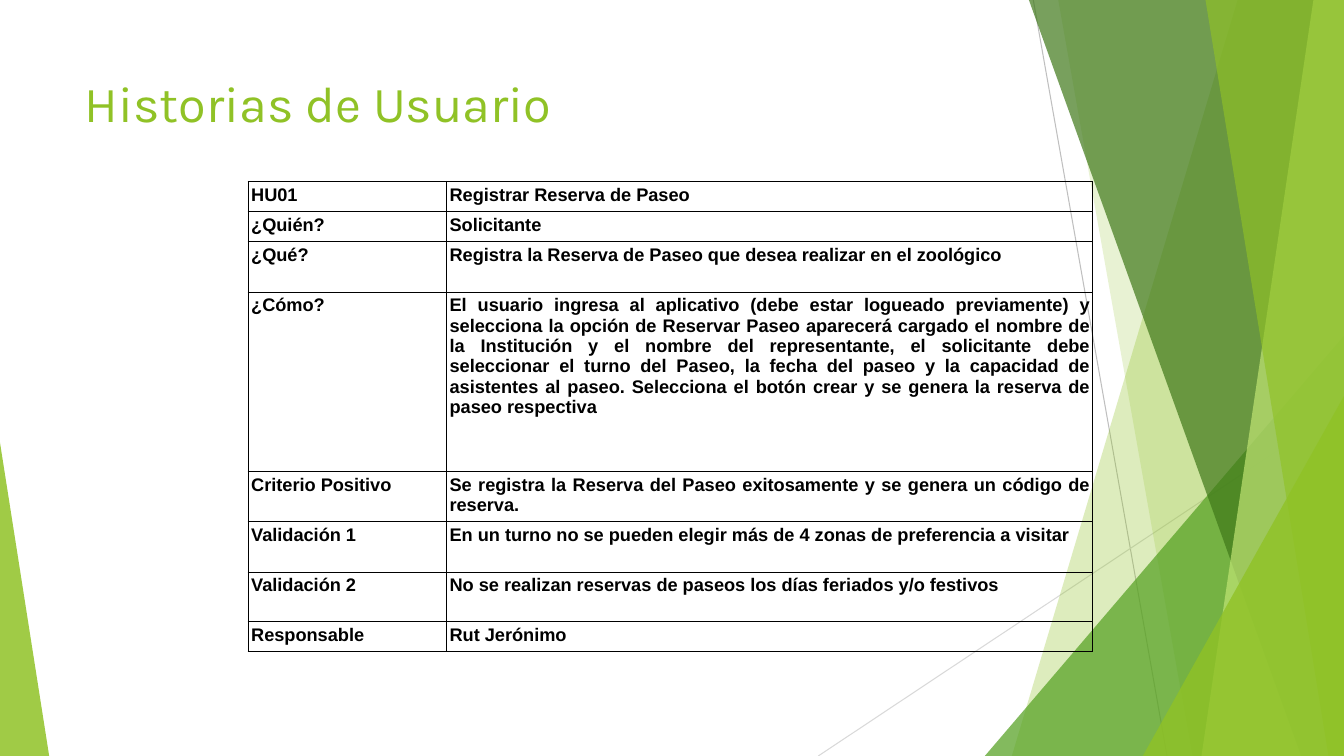
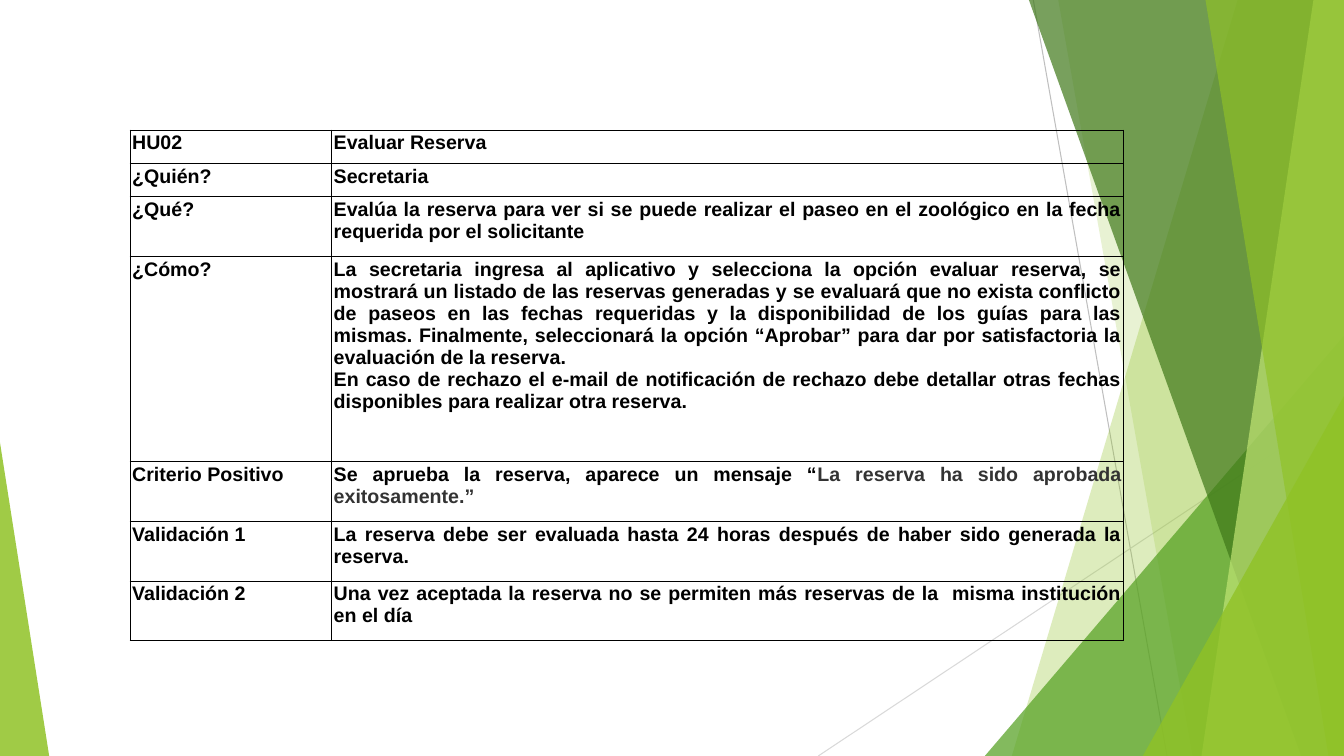
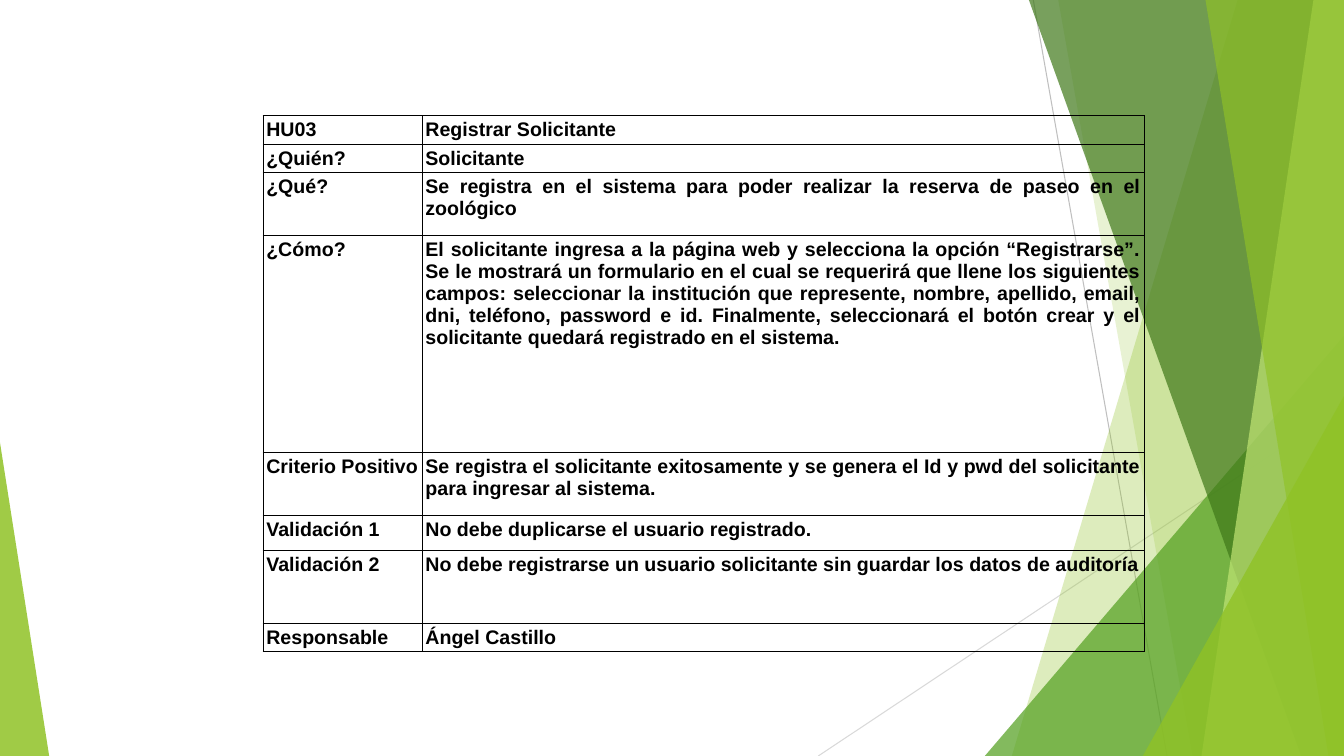
from dataclasses import dataclass

from lxml import etree
from pptx import Presentation
from pptx import util as u
from pptx.dml.color import RGBColor
from pptx.enum import shapes, text
from pptx.oxml import ns


@dataclass(frozen=True)
class Theme:
    lime: str = "90C226"
    green: str = "54A021"
    forest: str = "3F7819"
    pale: str = "C0E474"
    light_line: str = "D9D9D9"
    grey_line: str = "BFBFBF"
    ink: str = "000000"
    soft_ink: str = "333333"
    title_font: str = "Karla"
    body_font: str = "Arial"
    title_size: int = 36
    line_width: float = 0.75


THEME = Theme()
WIDTH, HEIGHT = 33.87, 19.05

# Start x, start y, end x, end y, colour
RAYS = [
    (26.04, 0, 29.41, HEIGHT, THEME.grey_line),
    (WIDTH, 10.24, 20.62, HEIGHT, THEME.light_line),
]
# Bands run to the right edge: x at the top, x at the bottom, colour, opacity
BACK_BANDS = [
    (31.19, 25.50, THEME.lime, 30),
    (26.67, 30.05, THEME.lime, 20),
]
FRONT_BANDS = [
    (25.93, 32.79, THEME.forest, 70),
    (33.10, 30.28, THEME.pale, 70),
    (30.38, 33.48, THEME.lime, 65),
]

LABELS = ["¿Quién?", "¿Qué?", "¿Cómo?", "Criterio Positivo",
          "Validación 1", "Validación 2", "Responsable"]


class Deck:
    def __init__(self, theme):
        self.theme = theme
        self.presentation = Presentation()
        self.presentation.slide_width = u.Cm(WIDTH)
        self.presentation.slide_height = u.Cm(HEIGHT)
        self.slide = None

    def new_slide(self):
        layout = self.presentation.slide_layouts[6]
        self.slide = self.presentation.slides.add_slide(layout)
        self.backdrop()

    def backdrop(self):
        for ray in RAYS:
            self.line(*ray)
        for band in BACK_BANDS:
            self.band(*band)
        self.corner(24.82, 8.46, WIDTH - 24.82, 1, self.theme.green, 72)
        for band in FRONT_BANDS:
            self.band(*band)
        self.corner(28.80, 9.98, WIDTH - 28.80, 1, self.theme.lime, 80)
        self.corner(0, 11.15, 1.24, 0, self.theme.lime, 85)

    def line(self, x1, y1, x2, y2, color):
        connector = self.slide.shapes.add_connector(
            shapes.MSO_CONNECTOR.STRAIGHT,
            u.Cm(x1), u.Cm(y1), u.Cm(x2), u.Cm(y2))
        connector.line.color.rgb = RGBColor.from_string(color)
        connector.line.width = u.Pt(self.theme.line_width)
        properties = connector._element.spPr
        etree.SubElement(properties, ns.qn("a:effectLst"))

    def band(self, top_x, bottom_x, color, opacity):
        builder = self.slide.shapes.build_freeform(u.Cm(top_x), 0)
        corners = [(WIDTH, 0), (WIDTH, HEIGHT), (bottom_x, HEIGHT)]
        builder.add_line_segments([(u.Cm(x), u.Cm(y)) for x, y in corners])
        self.paint(builder.convert_to_shape(), color, opacity)

    def corner(self, left, top, width, apex, color, opacity):
        """Draw a right triangle standing on the bottom edge."""
        shape = self.slide.shapes.add_shape(
            shapes.MSO_SHAPE.ISOSCELES_TRIANGLE,
            u.Cm(left), u.Cm(top), u.Cm(width), u.Cm(HEIGHT - top))
        shape.adjustments[0] = apex
        self.paint(shape, color, opacity)

    def paint(self, shape, color, opacity):
        shape.shadow.inherit = False
        shape.line.fill.background()
        shape.fill.solid()
        shape.fill.fore_color.rgb = RGBColor.from_string(color)
        rgb = shape._element.spPr.find(".//" + ns.qn("a:srgbClr"))
        etree.SubElement(rgb, ns.qn("a:alpha"), val=str(opacity * 1000))

    def font(self, run, name, size, color, bold=False):
        run.font.name = name
        run.font.size = u.Pt(size)
        run.font.bold = bold
        run.font.color.rgb = RGBColor.from_string(color)

    def title(self, words):
        box = self.slide.shapes.add_textbox(
            u.Cm(1.88), u.Cm(1.7), u.Cm(23.88), u.Cm(3.66))
        frame = box.text_frame
        frame.word_wrap = True
        frame.vertical_anchor = text.MSO_ANCHOR.TOP
        frame.text = words
        self.font(frame.paragraphs[0].runs[0], self.theme.title_font,
                  self.theme.title_size, self.theme.lime)

    def story(self, code, name, answers, left, top, columns, rows, size, margin):
        """Draw a user story as a table of labels and answers."""
        content = [(code, name), *zip(LABELS, answers)]
        table = self.slide.shapes.add_table(
            len(rows), len(columns), u.Cm(left), u.Cm(top),
            u.Cm(sum(columns)), u.Cm(sum(rows))).table
        table.first_row = table.horz_banding = False
        for column, width in zip(table.columns, columns):
            column.width = u.Cm(width)
        for row, height, values in zip(table.rows, rows, content):
            row.height = u.Cm(height)
            for cell, value in zip(row.cells, values):
                self.cell(cell, value, size, margin)

    def cell(self, cell, value, size, margin):
        """Fill a cell; a pair of texts sets the second one in the soft ink."""
        main, quoted = value if isinstance(value, tuple) else (value, None)
        self.borders(cell)
        cell.fill.background()
        cell.margin_left = cell.margin_right = u.Cm(margin)
        cell.margin_top = cell.margin_bottom = u.Cm(margin)
        cell.text_frame.text = main
        for paragraph in cell.text_frame.paragraphs:
            paragraph.alignment = text.PP_ALIGN.JUSTIFY
            for run in paragraph.runs:
                self.font(run, self.theme.body_font, size, self.theme.ink, True)
        if quoted:
            run = cell.text_frame.paragraphs[-1].add_run()
            run.text = quoted
            self.font(run, self.theme.body_font, size, self.theme.soft_ink, True)

    def borders(self, cell):
        properties = cell._tc.get_or_add_tcPr()
        for side in ("lnL", "lnR", "lnT", "lnB"):
            line = etree.SubElement(properties, ns.qn("a:" + side),
                                    w=str(u.Pt(self.theme.line_width)))
            fill = etree.SubElement(line, ns.qn("a:solidFill"))
            etree.SubElement(fill, ns.qn("a:srgbClr"), val=self.theme.ink)


def main():
    deck = Deck(THEME)

    deck.new_slide()
    deck.title("Historias de Usuario")
    deck.story(
        "HU01", "Registrar Reserva de Paseo",
        ["Solicitante",
         "Registra la Reserva de Paseo que desea realizar en el zoológico",
         "El usuario ingresa al aplicativo (debe estar logueado previamente) y "
         "selecciona la opción de Reservar Paseo aparecerá cargado el nombre de "
         "la Institución y el nombre del representante, el solicitante debe "
         "seleccionar el turno del Paseo, la fecha del paseo y la capacidad de "
         "asistentes al paseo. Selecciona el botón crear y se genera la reserva "
         "de paseo respectiva",
         "Se registra la Reserva del Paseo exitosamente y se genera un código "
         "de reserva.",
         "En un turno no se pueden elegir más de 4 zonas de preferencia a visitar",
         "No se realizan reservas de paseos los días feriados y/o festivos",
         "Rut Jerónimo"],
        left=6.25, top=4.57, columns=[5, 16.28],
        rows=[0.76, 0.76, 1.27, 4.52, 1.27, 1.27, 1.24, 0.76],
        size=13, margin=0.08)

    deck.new_slide()
    deck.story(
        "HU02", "Evaluar Reserva",
        ["Secretaria",
         "Evalúa la reserva para ver si se puede realizar el paseo en el "
         "zoológico en la fecha requerida por el solicitante",
         "La secretaria ingresa al aplicativo y selecciona la opción evaluar "
         "reserva, se mostrará un listado de las reservas generadas y se "
         "evaluará que no exista conflicto de paseos en las fechas requeridas y "
         "la disponibilidad de los guías para las mismas. Finalmente, "
         "seleccionará la opción “Aprobar” para dar por satisfactoria la "
         "evaluación de la reserva.\n"
         "En caso de rechazo el e-mail de notificación de rechazo debe detallar "
         "otras fechas disponibles para realizar otra reserva.",
         ("Se aprueba la reserva, aparece un mensaje “",
          "La reserva ha sido aprobada exitosamente.”"),
         "La reserva debe ser evaluada hasta 24 horas después de haber sido "
         "generada la reserva.",
         "Una vez aceptada la reserva no se permiten más reservas de la  misma "
         "institución en el día"],
        left=3.28, top=3.28, columns=[5.08, 19.96],
        rows=[0.84, 0.84, 1.5, 5.18, 1.5, 1.5, 1.5],
        size=14, margin=0.05)

    deck.new_slide()
    deck.story(
        "HU03", "Registrar Solicitante",
        ["Solicitante",
         "Se registra en el sistema para poder realizar la reserva de paseo en "
         "el zoológico",
         "El solicitante ingresa a la página web y selecciona la opción "
         "“Registrarse”. Se le mostrará un formulario en el cual se requerirá "
         "que llene los siguientes campos: seleccionar la institución que "
         "represente, nombre, apellido, email, dni, teléfono, password e id. "
         "Finalmente, seleccionará el botón crear y el solicitante quedará "
         "registrado en el sistema.",
         "Se registra el solicitante exitosamente y se genera el Id y pwd del "
         "solicitante para ingresar al sistema.",
         "No debe duplicarse el usuario registrado.",
         "No debe registrarse un usuario solicitante sin guardar los datos de "
         "auditoría",
         "Ángel Castillo"],
        left=6.63, top=2.92, columns=[4.01, 18.19],
        rows=[0.71, 0.71, 1.57, 5.49, 1.57, 0.89, 1.83, 0.71],
        size=14, margin=0.08)

    deck.presentation.save("out.pptx")


if __name__ == "__main__":
    main()
